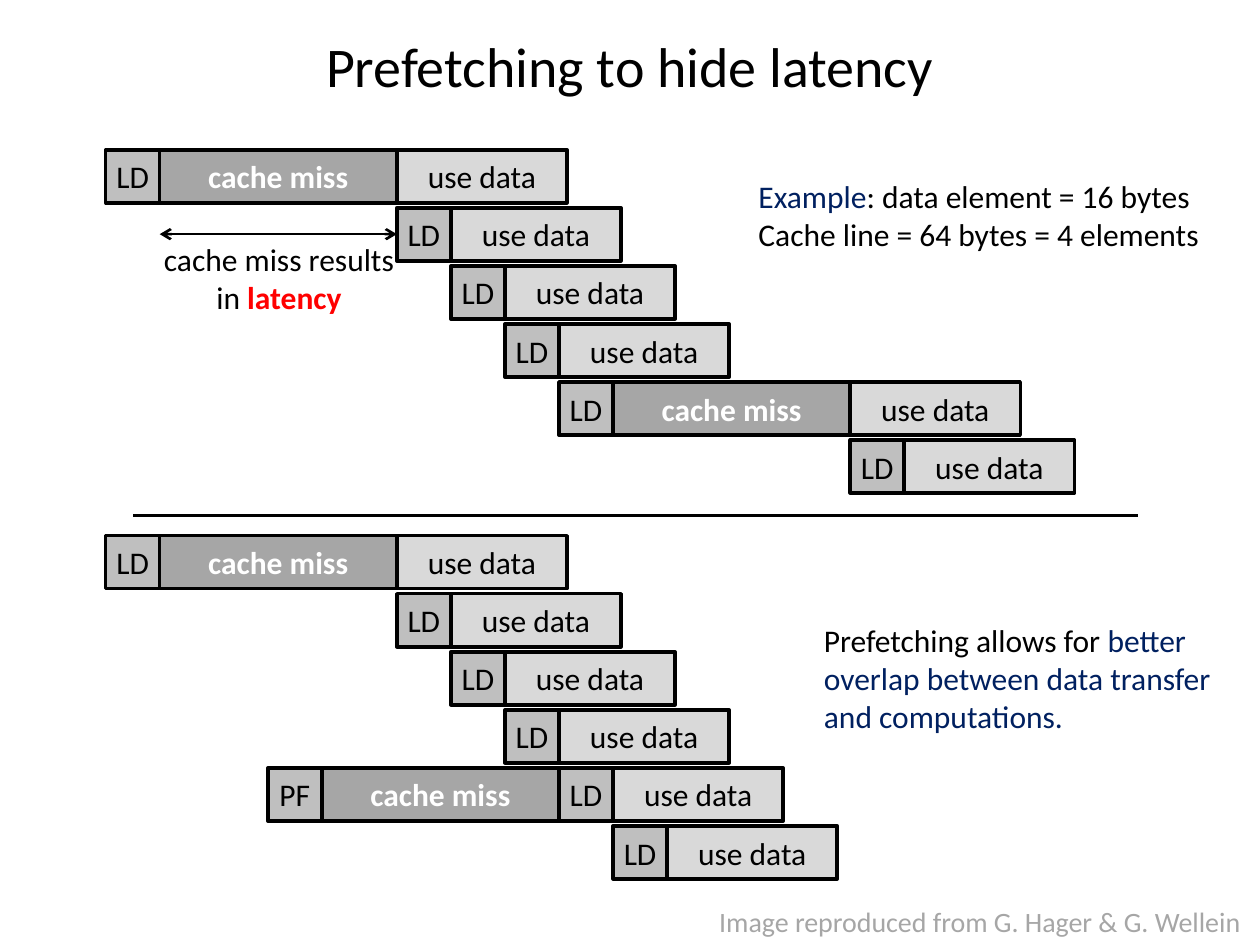
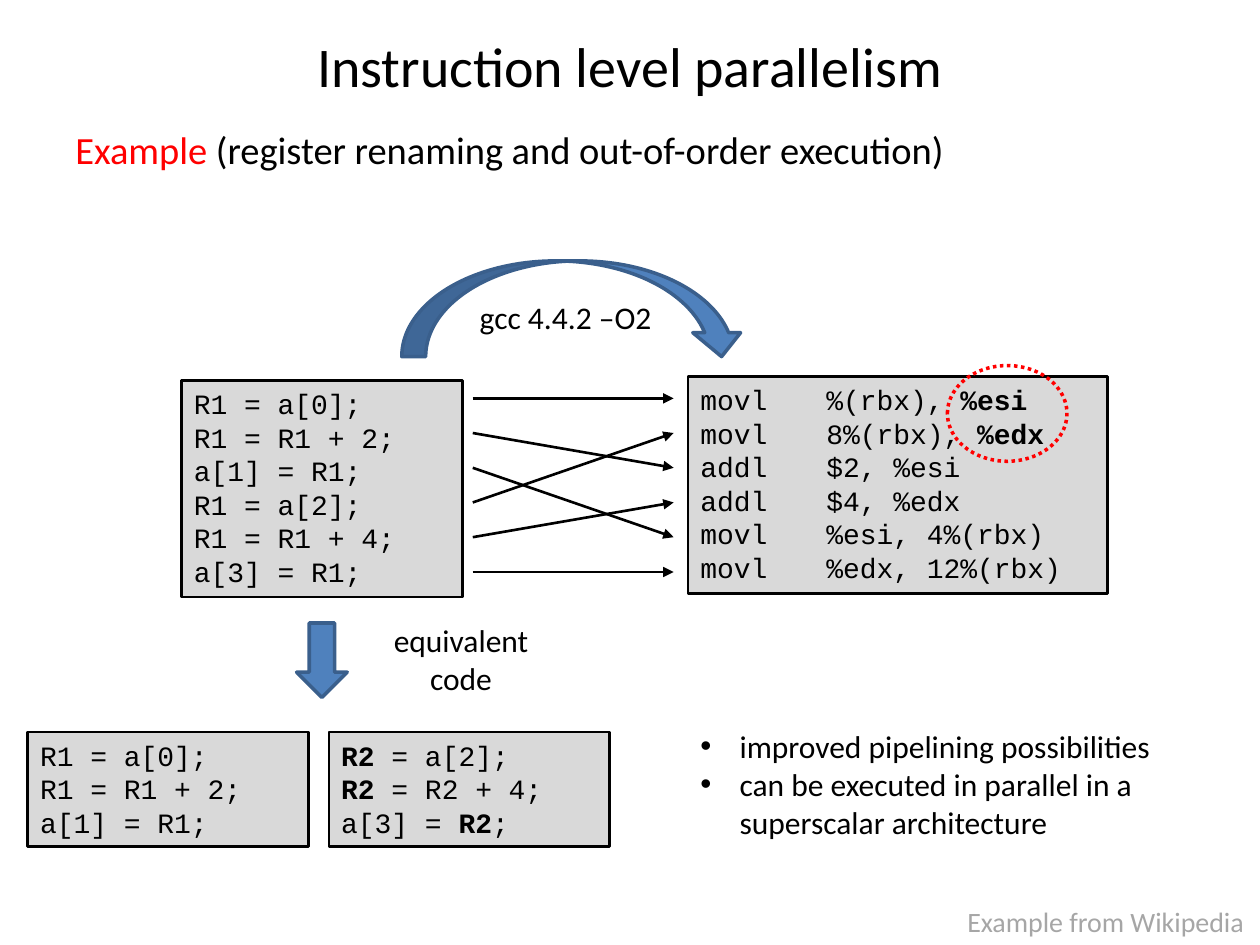
import dataclasses
import typing

import lxml.etree
import pptx
import pptx.dml.color
import pptx.enum.dml
import pptx.enum.shapes
import pptx.enum.text
import pptx.oxml.ns
import pptx.util

Cm = pptx.util.Cm
Pt = pptx.util.Pt
qn = pptx.oxml.ns.qn
Align = pptx.enum.text.PP_ALIGN
Anchor = pptx.enum.text.MSO_ANCHOR
Preset = pptx.enum.shapes.MSO_SHAPE

COLORS = {
    "black": "000000",
    "white": "FFFFFF",
    "red": "FF0000",
    "navy": "002060",
    "load": "BFBFBF",
    "miss": "A6A6A6",
    "light": "D9D9D9",
    "arrow": "4F81BD",
    "arrow_edge": "3A5F8C",
}
BODY_FONT = "Calibri"
CODE_FONT = "Courier New"
SLIDE_WIDTH = 25.4
SLIDE_HEIGHT = 19.05


class Run(typing.NamedTuple):
    text: str
    color: str = "black"
    bold: bool = False


class Box(typing.NamedTuple):
    left: float
    top: float
    width: float
    height: float

    def lengths(self) -> list:
        return [Cm(value) for value in self]


Lines = list[list[Run]]


@dataclasses.dataclass(frozen=True)
class TextStyle:
    size: int = 18
    font: str = BODY_FONT
    align: typing.Any = Align.LEFT
    bullet: bool = False


@dataclasses.dataclass(frozen=True)
class Stage:
    label: str
    width: float
    fill: str
    color: str = "black"
    bold: bool = False


@dataclasses.dataclass(frozen=True)
class CodeBox:
    box: Box
    lines: Lines


BODY = TextStyle()
CENTERED = TextStyle(align=Align.CENTER)
BULLETS = TextStyle(bullet=True)
TITLE = TextStyle(size=32, align=Align.CENTER)
SUBTITLE = TextStyle(size=22)
FOOTER = TextStyle(size=16)
CODE = TextStyle(size=16, font=CODE_FONT)

LOAD = Stage("LD", 1.09, "load")
PREFETCH = Stage("PF", 1.09, "load")
MISS = Stage("cache miss", 4.78, "miss", "white", True)
USE = Stage("use data", 3.43, "light")
STAGE_HEIGHT = 1.07
ROW_PITCH = 1.17
FIRST_LOAD = 2.13


def rgb(name: str) -> pptx.dml.color.RGBColor:
    return pptx.dml.color.RGBColor.from_string(COLORS[name])


def plain(*texts: str) -> Lines:
    return [[Run(text)] for text in texts]


def add_bullet(paragraph) -> None:
    properties = paragraph._p.get_or_add_pPr()
    properties.set("marL", str(Cm(0.79)))
    properties.set("indent", str(-Cm(0.79)))
    lxml.etree.SubElement(properties, qn("a:buFont")).set("typeface", "Arial")
    lxml.etree.SubElement(properties, qn("a:buChar")).set("char", "•")


def write_lines(text_frame, lines: Lines, style: TextStyle) -> None:
    for index, line in enumerate(lines):
        paragraph = text_frame.add_paragraph() if index else text_frame.paragraphs[0]
        paragraph.alignment = style.align
        if style.bullet:
            add_bullet(paragraph)
        for part in line:
            run = paragraph.add_run()
            run.text = part.text
            run.font.size = Pt(style.size)
            run.font.name = style.font
            run.font.bold = part.bold
            run.font.color.rgb = rgb(part.color)


def add_text(slide, box: Box, lines: Lines, style: TextStyle = BODY, wrap: bool = False) -> None:
    text_frame = slide.shapes.add_textbox(*box.lengths()).text_frame
    text_frame.word_wrap = wrap
    write_lines(text_frame, lines, style)


def add_shape(slide, preset, box: Box, fill: str | None, edge: str, weight: float = 2):
    shape = slide.shapes.add_shape(preset, *box.lengths())
    shape.shadow.inherit = False
    if fill:
        shape.fill.solid()
        shape.fill.fore_color.rgb = rgb(fill)
    else:
        shape.fill.background()
    shape.line.color.rgb = rgb(edge)
    shape.line.width = Pt(weight)
    return shape


def add_line(slide, start: tuple, end: tuple, weight: float,
             head: str | None = None, tail: str | None = None) -> None:
    connector = slide.shapes.add_connector(
        pptx.enum.shapes.MSO_CONNECTOR.STRAIGHT, *map(Cm, start + end))
    connector.line.color.rgb = rgb("black")
    connector.line.width = Pt(weight)
    properties = connector._element.spPr
    outline = properties.find(qn("a:ln"))
    for tag, kind in (("a:headEnd", head), ("a:tailEnd", tail)):
        if kind:
            lxml.etree.SubElement(outline, qn(tag)).set("type", kind)
    lxml.etree.SubElement(properties, qn("a:effectLst"))


def add_titled_slide(presentation, title: str, footer: str, footer_width: float):
    slide = presentation.slides.add_slide(presentation.slide_layouts[5])
    placeholder = slide.shapes.title
    placeholder.left, placeholder.top, placeholder.width, placeholder.height = \
        Box(1.27, 0.43, 22.86, 1.78).lengths()
    placeholder.text_frame.vertical_anchor = Anchor.MIDDLE
    write_lines(placeholder.text_frame, plain(title), TITLE)
    footer_box = Box(SLIDE_WIDTH - footer_width, 18.11, footer_width, 0.94)
    add_text(slide, footer_box, [[Run(footer, "miss")]], FOOTER)
    return slide


def add_stage(slide, stage: Stage, left: float, top: float) -> None:
    shape = add_shape(slide, Preset.RECTANGLE, Box(left, top, stage.width, STAGE_HEIGHT),
                      stage.fill, "black")
    text_frame = shape.text_frame
    text_frame.margin_left = text_frame.margin_right = 0
    text_frame.margin_top = text_frame.margin_bottom = 0
    text_frame.vertical_anchor = Anchor.MIDDLE
    write_lines(text_frame, [[Run(stage.label, stage.color, stage.bold)]], CENTERED)


def add_timeline(slide, top: float, rows: list[list[Stage]]) -> None:
    ready = FIRST_LOAD
    for index, stages in enumerate(rows):
        left = ready - sum(stage.width for stage in stages[:stages.index(LOAD)])
        for stage in stages:
            add_stage(slide, stage, left, top + index * ROW_PITCH)
            if stage is USE:
                ready = left
            left += stage.width


def add_code(slide, code: CodeBox) -> None:
    shape = add_shape(slide, Preset.RECTANGLE, code.box, "light", "black", 1.5)
    shape.text_frame.word_wrap = True
    shape.text_frame.vertical_anchor = Anchor.TOP
    write_lines(shape.text_frame, code.lines, CODE)


def build_prefetching(presentation) -> None:
    slide = add_titled_slide(presentation, "Prefetching to hide latency",
                             "Image reproduced from G. Hager & G. Wellein", 11.15)
    hit = [LOAD, USE]
    missed = [LOAD, MISS, USE]
    prefetched = [PREFETCH, MISS, LOAD, USE]
    add_timeline(slide, 3.02, [missed, hit, hit, hit, missed, hit])
    add_timeline(slide, 10.8, [missed, hit, hit, hit, prefetched, hit])
    add_line(slide, (2.69, 10.39), (22.94, 10.39), 2)

    miss_start = FIRST_LOAD + LOAD.width
    add_line(slide, (miss_start, 4.72), (miss_start + MISS.width, 4.72), 1.5, "arrow", "arrow")
    add_text(slide, Box(3.02, 4.72, 5.21, 1.8), [
        [Run("cache miss results")],
        [Run("in "), Run("latency", "red", True)],
    ], CENTERED)
    add_text(slide, Box(15.04, 3.45, 9.53, 1.8), [
        [Run("Example", "navy"), Run(": data element = 16 bytes")],
        [Run("Cache line = 64 bytes = 4 elements")],
    ])
    add_text(slide, Box(16.36, 12.4, 8.41, 2.57), [
        [Run("Prefetching allows for "), Run("better", "navy")],
        [Run("overlap between data transfer", "navy")],
        [Run("and computations.", "navy")],
    ])


def build_parallelism(presentation) -> None:
    slide = add_titled_slide(presentation, "Instruction level parallelism",
                             "Example from Wikipedia", 6.15)
    add_text(slide, Box(1.27, 2.41, 20.4, 1.24), [
        [Run("Example", "red"), Run(" (register renaming and out-of-order execution)")],
    ], SUBTITLE, wrap=True)

    first_half = plain("R1 = a[0];", "R1 = R1 + 2;", "a[1] = R1;")
    second_half = plain("R1 = a[2];", "R1 = R1 + 4;", "a[3] = R1;")
    renamed = Run("R2", bold=True)
    renamed_half = [
        [renamed, Run(" = a[2];")],
        [renamed, Run(" = R2 + 4;")],
        [Run("a[3] = "), renamed, Run(";")],
    ]
    assembly = [
        [Run("movl\t%(rbx), "), Run("%esi", bold=True)],
        [Run("movl\t8%(rbx), "), Run("%edx", bold=True)],
        *plain("addl\t$2, %esi", "addl\t$4, %edx",
               "movl\t%esi, 4%(rbx)", "movl\t%edx, 12%(rbx)"),
    ]
    for code in (
        CodeBox(Box(3.66, 7.67, 5.66, 4.37), first_half + second_half),
        CodeBox(Box(0.56, 14.76, 5.66, 2.31), first_half),
        CodeBox(Box(6.63, 14.76, 5.66, 2.31), renamed_half),
        CodeBox(Box(13.87, 7.59, 8.46, 4.37), assembly),
    ):
        add_code(slide, code)

    assembly_rows = [0, 2, 4, 1, 3, 5]
    for source_row, target_row in enumerate(assembly_rows):
        add_line(slide, (9.53, 8.03 + 0.7 * source_row), (13.58, 8.03 + 0.7 * target_row),
                 1.5, tail="triangle")

    register_ring = add_shape(slide, Preset.OVAL, Box(19.1, 7.37, 2.41, 1.93), None, "red")
    register_ring.line.dash_style = pptx.enum.dml.MSO_LINE.ROUND_DOT
    add_shape(slide, Preset.CURVED_DOWN_ARROW, Box(8.1, 5.26, 6.93, 1.93), "arrow", "arrow_edge")
    add_shape(slide, Preset.DOWN_ARROW, Box(5.98, 12.56, 1.02, 1.5), "arrow", "arrow_edge")

    add_text(slide, Box(9.42, 5.89, 4.01, 1.02), plain("gcc 4.4.2 –O2"))
    add_text(slide, Box(7.67, 12.4, 3.25, 1.8), plain("equivalent", "code"), CENTERED)
    add_text(slide, Box(13.87, 14.53, 9.8, 2.57), plain(
        "improved pipelining possibilities",
        "can be executed in parallel in a superscalar architecture",
    ), BULLETS, wrap=True)


def main() -> None:
    presentation = pptx.Presentation()
    presentation.slide_width = Cm(SLIDE_WIDTH)
    presentation.slide_height = Cm(SLIDE_HEIGHT)
    build_prefetching(presentation)
    build_parallelism(presentation)
    presentation.save("out.pptx")


if __name__ == "__main__":
    main()
